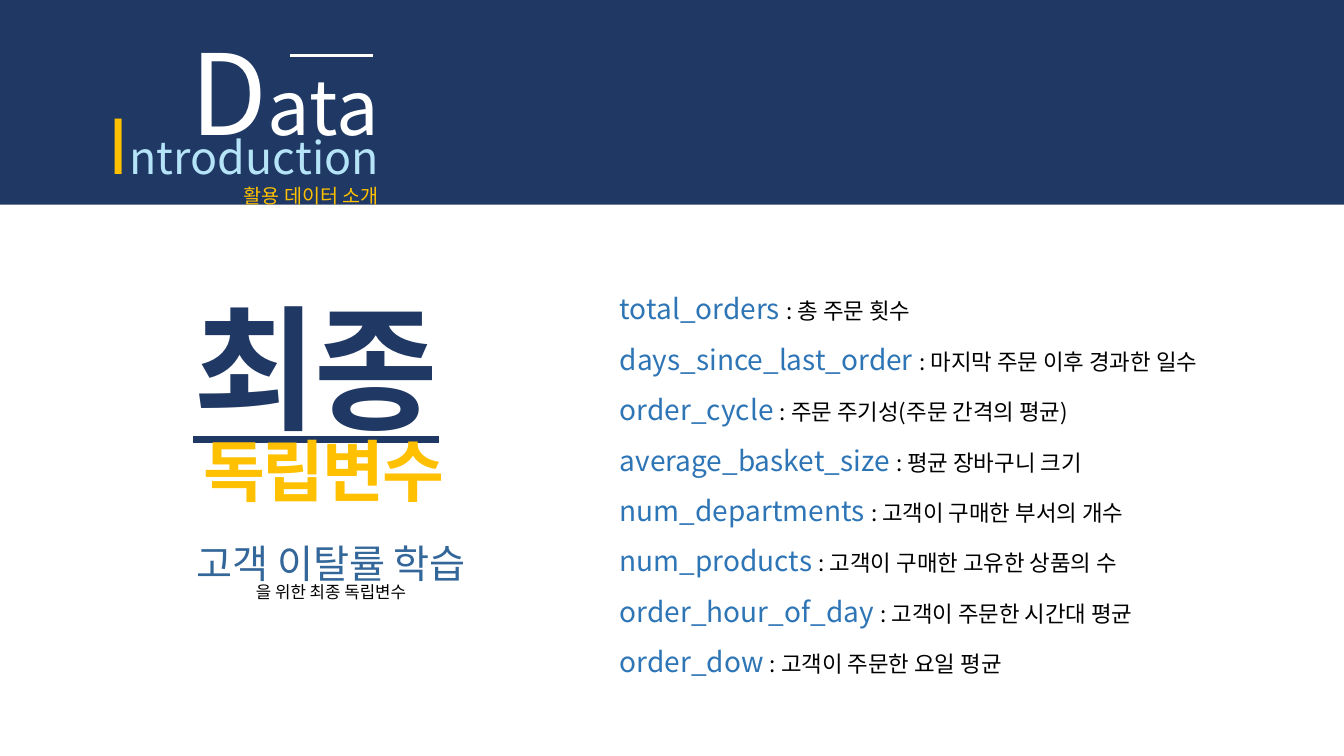
import pptx
import pptx.util
import pptx.dml.color
import pptx.enum.shapes
import pptx.enum.text
import lxml.etree

Cm = pptx.util.Cm
Pt = pptx.util.Pt
RGBColor = pptx.dml.color.RGBColor
ALIGN = pptx.enum.text.PP_ALIGN
ANCHOR = pptx.enum.text.MSO_ANCHOR
AUTO = pptx.enum.text.MSO_AUTO_SIZE

FONT = "Noto Sans CJK KR"
NAVY = RGBColor(0x20, 0x38, 0x64)
WHITE = RGBColor(0xFF, 0xFF, 0xFF)
BLACK = RGBColor(0, 0, 0)
GOLD = RGBColor(0xFF, 0xC0, 0x00)
SKY = RGBColor(0xB5, 0xE3, 0xF7)
BLUE = RGBColor(0x2E, 0x75, 0xB6)
STEEL = RGBColor(0x33, 0x66, 0x99)

VARIABLES = [
    ("total_orders", "총 주문 횟수"),
    ("days_since_last_order", "마지막 주문 이후 경과한 일수"),
    ("order_cycle", "주문 주기성(주문 간격의 평균)"),
    ("average_basket_size", "평균 장바구니 크기"),
    ("num_departments", "고객이 구매한 부서의 개수"),
    ("num_products", "고객이 구매한 고유한 상품의 수"),
    ("order_hour_of_day", "고객이 주문한 시간대 평균"),
    ("order_dow", "고객이 주문한 요일 평균"),
]


def add_run(p, text, size, color, bold=False, underline=False, spacing=0):
    r = p.add_run()
    r.text = text
    r.font.name = FONT
    r.font.size = Pt(size)
    r.font.color.rgb = color
    r.font.bold = bold
    r.font.underline = underline
    rpr = r.font._element
    rpr.set("spc", str(int(spacing * 100)))
    ea = lxml.etree.SubElement(rpr, pptx.oxml.ns.qn("a:ea"))
    ea.set("typeface", FONT)


def fill_text(sp, lines, align, line_spacing, auto_size=AUTO.SHAPE_TO_FIT_TEXT):
    tf = sp.text_frame
    tf.word_wrap = True
    tf.auto_size = auto_size
    for i, runs in enumerate(lines):
        p = tf.paragraphs[0] if i == 0 else tf.add_paragraph()
        p.alignment = align
        p.line_spacing = line_spacing
        p.space_before = Pt(0)
        for run in runs:
            add_run(p, *run)


def place(sp, left, top, width, height):
    sp.left, sp.top, sp.width, sp.height = Cm(left), Cm(top), Cm(width), Cm(height)


def add_banner(slide, width):
    sp = slide.shapes.add_shape(
        pptx.enum.shapes.MSO_SHAPE.RECTANGLE, 0, 0, width, Cm(5.16))
    sp.shadow.inherit = False
    sp.fill.solid()
    sp.fill.fore_color.rgb = NAVY
    sp.line.fill.background()
    slide.shapes._spTree.insert(2, sp._element)


def add_title(slide):
    sp = slide.shapes.title
    place(sp, 0.74, 1.73, 9.07, 4.32)
    fill_text(sp, [
        [("D", 80, WHITE, False, False, -5), ("a", 54, WHITE, False, False, -5),
         ("ta", 54, WHITE)],
        [("I", 54, GOLD), ("ntroduction", 32, SKY)],
        [("활용 데이터 소개", 14, GOLD)],
    ], ALIGN.RIGHT, 0.4, AUTO.NONE)
    tf = sp.text_frame
    tf.vertical_anchor = ANCHOR.MIDDLE
    tf.margin_bottom = Cm(0.41)
    tf.paragraphs[2].space_before = Pt(10)


def add_heading(slide):
    sp = slide.placeholders[1]
    place(sp, 4.32, 7.77, 7.67, 5.28)
    fill_text(sp, [
        [("최종", 96, NAVY, True, True, -1.5), (" ", 48, NAVY, True, False, -1.5)],
        [("독립변수", 48, GOLD, True, False, -1.5)],
    ], ALIGN.CENTER, 0.8)
    sp.text_frame.vertical_anchor = ANCHOR.MIDDLE
    for p in sp.text_frame.paragraphs:
        ppr = p._p.get_or_add_pPr()
        ppr.set("marL", "0")
        ppr.set("indent", "0")
        lxml.etree.SubElement(ppr, pptx.oxml.ns.qn("a:buNone"))


def add_text(slide, box, lines, align, line_spacing):
    sp = slide.shapes.add_textbox(*map(Cm, box))
    fill_text(sp, lines, align, line_spacing)


def add_rule(slide, x1, x2, y):
    line = slide.shapes.add_connector(
        pptx.enum.shapes.MSO_CONNECTOR.STRAIGHT, Cm(x1), Cm(y), Cm(x2), Cm(y))
    line.line.color.rgb = WHITE
    line.line.width = Pt(2.25)
    lxml.etree.SubElement(line._element.spPr, pptx.oxml.ns.qn("a:effectLst"))


def main():
    prs = pptx.Presentation()
    prs.slide_width = Cm(33.87)
    prs.slide_height = Cm(19.05)
    slide = prs.slides.add_slide(prs.slide_layouts[1])
    add_banner(slide, prs.slide_width)
    add_heading(slide)
    add_text(slide, (15.37, 6.81, 15.65, 11.53), [
        [(name + " ", 20, BLUE), (": " + meaning, 16, BLACK)]
        for name, meaning in VARIABLES
    ], ALIGN.LEFT, 1.5)
    add_title(slide)
    add_rule(slide, 7.32, 9.4, 1.4)
    add_text(slide, (3.48, 13.69, 9.73, 1.65), [
        [("고객 이탈률 학습", 28, STEEL)],
        [("을 위한 최종 독립변수", 12, BLACK)],
    ], ALIGN.CENTER, 0.8)
    prs.save("out.pptx")


if __name__ == "__main__":
    main()
